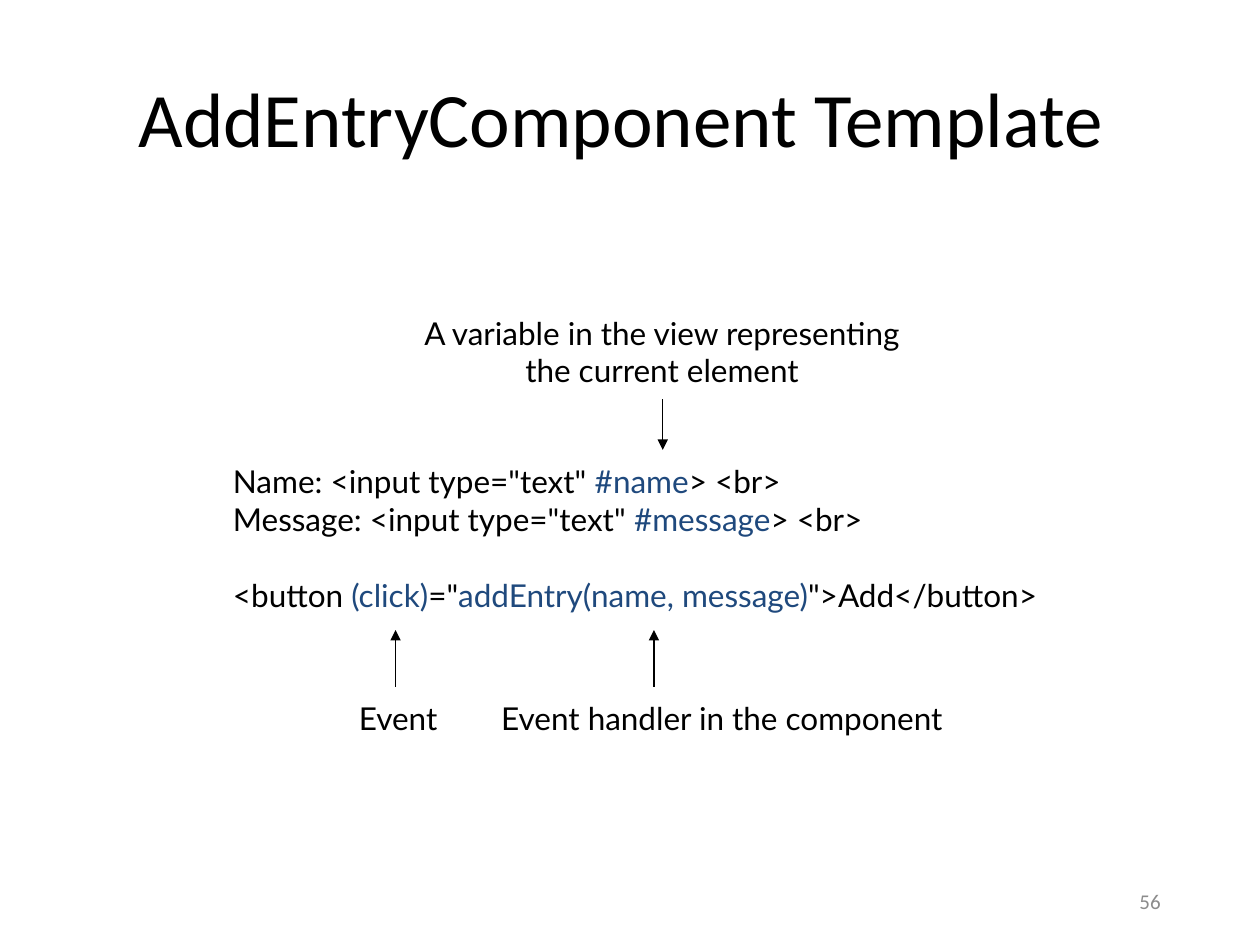
from lxml.etree import SubElement
from pptx import Presentation
from pptx.dml.color import RGBColor
from pptx.enum.shapes import MSO_CONNECTOR
from pptx.enum.text import MSO_ANCHOR, PP_ALIGN
from pptx.oxml.ns import qn
from pptx.util import Inches, Pt

BLACK = RGBColor(0x00, 0x00, 0x00)
BLUE = RGBColor(0x1F, 0x49, 0x7D)
GRAY = RGBColor(0x8C, 0x8C, 0x8C)

TITLE = "AddEntryComponent Template "
PAGE = "56"
INPUTS = [
    [('Name: <input type="text" ', BLACK), ("#name", BLUE), ("> <br>", BLACK)],
    [('Message: <input type="text" ', BLACK), ("#message", BLUE), ("> <br>", BLACK)],
]
BUTTON = [
    ("<button ", BLACK), ("(click)", BLUE), ('="', BLACK),
    ("addEntry(name, message)", BLUE), ('">Add</button>', BLACK),
]
LABELS = [
    (["A variable in the view representing", "the current element"],
     (3.22, 2.44, 4.07, 0.71), PP_ALIGN.CENTER),
    (["Event"], (2.75, 5.5, 0.83, 0.4), PP_ALIGN.LEFT),
    (["Event handler in the component"], (3.88, 5.5, 3.77, 0.4), PP_ALIGN.LEFT),
]
ARROWS = [(5.26, 3.17, 3.57), (5.19, 5.45, 5), (3.14, 5.45, 5)]


def write(sp, lines, size=18, font="Lato", color=BLACK, align=PP_ALIGN.LEFT,
          anchor=MSO_ANCHOR.TOP, wrap=False, gaps=None):
    tf = sp.text_frame
    tf.word_wrap = wrap
    tf.vertical_anchor = anchor
    for i, line in enumerate(lines):
        p = tf.add_paragraph() if i else tf.paragraphs[0]
        p.alignment = align
        if gaps and i in gaps:
            p.space_before = Pt(gaps[i])
        for text, tint in [(line, color)] if isinstance(line, str) else line:
            r = p.add_run()
            r.text = text
            r.font.size = Pt(size)
            r.font.name = font
            r.font.color.rgb = tint


def add_text(slide, box, lines, **fmt):
    write(slide.shapes.add_textbox(*map(Inches, box)), lines, **fmt)


def add_arrow(slide, x, start, end):
    line = slide.shapes.add_connector(
        MSO_CONNECTOR.STRAIGHT, Inches(x), Inches(start), Inches(x), Inches(end))
    line.line.color.rgb = BLACK
    line.line.width = Pt(0.75)
    SubElement(line.line._get_or_add_ln(), qn("a:tailEnd"), type="triangle")
    SubElement(line._element.spPr, qn("a:effectLst"))


def main():
    prs = Presentation()
    prs.slide_width, prs.slide_height = Inches(10), Inches(7.5)
    slide = prs.slides.add_slide(prs.slide_layouts[5])

    title = slide.shapes.title
    title.left, title.top, title.width, title.height = map(Inches, (0.5, 0.3, 9, 1.25))
    write(title, [TITLE], size=44, font="Calibri", align=PP_ALIGN.CENTER,
          anchor=MSO_ANCHOR.MIDDLE, wrap=True)

    add_text(slide, (1.75, 3.62, 6.99, 1.31), INPUTS + [BUTTON], gaps={2: 21.6})
    for lines, box, align in LABELS:
        add_text(slide, box, lines, align=align)
    for arrow in ARROWS:
        add_arrow(slide, *arrow)
    add_text(slide, (7.06, 6.95, 2.25, 0.4), [PAGE], size=12, font="Calibri",
             color=GRAY, align=PP_ALIGN.RIGHT, anchor=MSO_ANCHOR.MIDDLE, wrap=True)
    prs.save("out.pptx")


if __name__ == "__main__":
    main()
